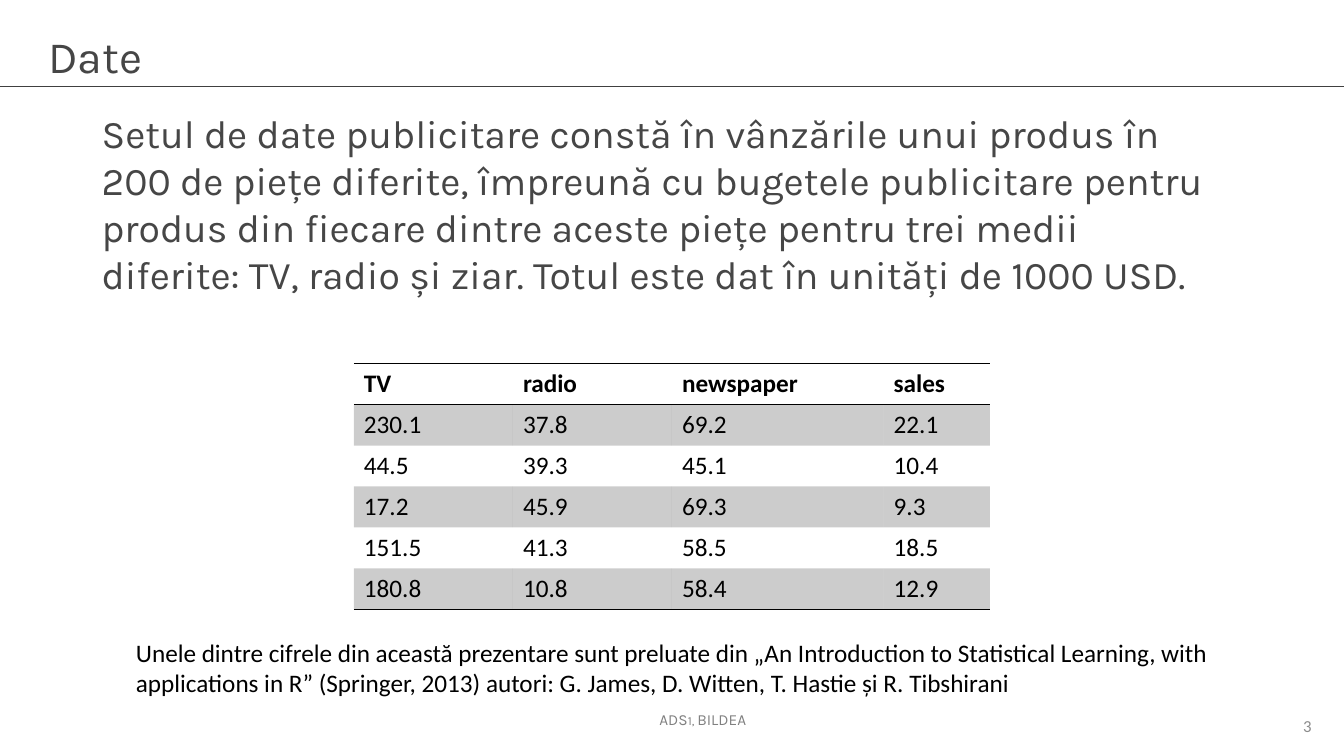
"""Build the slide describing the advertising data set."""
from dataclasses import dataclass

import lxml.etree
import pptx
import pptx.dml.color
import pptx.enum.shapes
import pptx.enum.text
import pptx.oxml
import pptx.oxml.ns
import pptx.slide
import pptx.table
import pptx.util

Pt = pptx.util.Pt
RGBColor = pptx.dml.color.RGBColor
ALIGN = pptx.enum.text.PP_ALIGN
ANCHOR = pptx.enum.text.MSO_ANCHOR
qn = pptx.oxml.ns.qn

BLACK = RGBColor(0x00, 0x00, 0x00)
RULE = RGBColor(0x40, 0x40, 0x40)
DARK = RGBColor(0x46, 0x46, 0x46)
GRAY = RGBColor(0x80, 0x80, 0x80)
LIGHT = RGBColor(0x8C, 0x8C, 0x8C)
NO_STYLE = "{2D5ABB26-0587-4C30-8999-92F81FD0307C}"


@dataclass
class Label:
    """A text box with one run; lengths in points."""
    text: str
    left: float
    top: float
    width: float
    height: float
    size: float
    font: str
    color: RGBColor
    align: ALIGN = ALIGN.LEFT
    anchor: ANCHOR = ANCHOR.TOP
    wrap: bool = True
    small_caps: bool = False


LABELS = [
    Label("ADS1, BILDEA", 463, 504, 78, 21, 11, "Karla", GRAY,
          align=ALIGN.CENTER, wrap=False, small_caps=True),
    Label("Date", 27.4, 17.3, 905, 60.5, 32, "Karla", DARK),
    Label("3", 843, 504, 101, 28.8, 12, "Calibri", LIGHT,
          align=ALIGN.RIGHT, anchor=ANCHOR.MIDDLE),
    Label("Setul de date publicitare constă în vânzările unui produs în 200 de piețe "
          "diferite, împreună cu bugetele publicitare pentru produs din fiecare dintre "
          "aceste piețe pentru trei medii diferite: TV, radio și ziar. Totul este dat în "
          "unități de 1000 USD.", 65.5, 74.2, 813, 166.3, 28, "Karla", DARK),
    Label("Unele dintre cifrele din această prezentare sunt preluate din „An Introduction "
          "to Statistical Learning, with applications in R” (Springer, 2013) autori: "
          "G. James, D. Witten, T. Hastie și R. Tibshirani",
          90, 451.4, 825, 51.1, 18, "Calibri", BLACK),
]

ROWS = [
    ("TV", "radio", "newspaper", "sales"),
    ("230.1", "37.8", "69.2", "22.1"),
    ("44.5", "39.3", "45.1", "10.4"),
    ("17.2", "45.9", "69.3", "9.3"),
    ("151.5", "41.3", "58.5", "18.5"),
    ("180.8", "10.8", "58.4", "12.9"),
]
COL_WIDTHS = [113.6, 113.6, 151.2, 76]
ROW_HEIGHT = 28.8


def add_run(p, text: str, size: float, font: str, color: RGBColor, bold: bool = False):
    """Append a formatted run to a paragraph."""
    r = p.add_run()
    r.text = text
    r.font.size = Pt(size)
    r.font.name = font
    r.font.color.rgb = color
    r.font.bold = bold
    return r


def add_label(s: pptx.slide.Slide, label: Label) -> None:
    """Draw one label as a text box."""
    sp = s.shapes.add_textbox(Pt(label.left), Pt(label.top), Pt(label.width), Pt(label.height))
    tf = sp.text_frame
    tf.word_wrap = label.wrap
    tf.vertical_anchor = label.anchor
    p = tf.paragraphs[0]
    p.alignment = label.align
    r = add_run(p, label.text, label.size, label.font, label.color)
    if label.small_caps:
        r.font._element.set("cap", "small")


def add_borders(cell: pptx.table._Cell, sides: list[str]) -> None:
    """Put black one-point borders on the given sides of a cell."""
    tcPr = cell._tc.get_or_add_tcPr()
    for i, side in enumerate(sides):
        ln = pptx.oxml.parse_xml(
            f'<a:{side} xmlns:a="http://schemas.openxmlformats.org/drawingml/2006/main" '
            f'w="{Pt(1)}"><a:solidFill><a:srgbClr val="{BLACK}"/></a:solidFill></a:{side}>')
        tcPr.insert(i, ln)


def add_data_table(s: pptx.slide.Slide) -> None:
    """Draw the data table with shaded odd rows and horizontal rules."""
    frame = s.shapes.add_table(len(ROWS), len(COL_WIDTHS), Pt(252.8), Pt(259.9),
                               Pt(sum(COL_WIDTHS)), Pt(ROW_HEIGHT * len(ROWS)))
    table = frame.table
    table.first_row = table.horz_banding = False
    table._tbl.tblPr.find(qn("a:tableStyleId")).text = NO_STYLE
    for col, width in zip(table.columns, COL_WIDTHS):
        col.width = Pt(width)
    for i, values in enumerate(ROWS):
        table.rows[i].height = Pt(ROW_HEIGHT)
        sides = ["lnT", "lnB"] if i == 0 else ["lnB"] if i == len(ROWS) - 1 else []
        for j, value in enumerate(values):
            cell = table.cell(i, j)
            add_run(cell.text_frame.paragraphs[0], value, 18, "Calibri", BLACK, bold=i == 0)
            if i % 2:
                cell.fill.solid()
                cell.fill.fore_color.rgb = BLACK
                clr = cell._tc.tcPr.find(".//" + qn("a:srgbClr"))
                lxml.etree.SubElement(clr, qn("a:alpha")).set("val", "20000")
            else:
                cell.fill.background()
            add_borders(cell, sides)


def add_title_rule(s: pptx.slide.Slide, width: float) -> None:
    """Draw the line under the title."""
    sp = s.shapes.add_connector(pptx.enum.shapes.MSO_CONNECTOR.STRAIGHT,
                                Pt(0), Pt(62), Pt(width), Pt(62))
    sp.line.color.rgb = RULE
    sp.line.width = Pt(0.75)
    lxml.etree.SubElement(sp._element.spPr, qn("a:effectLst"))


def main() -> None:
    """Create and save the presentation."""
    prs = pptx.Presentation()
    prs.slide_width, prs.slide_height = Pt(960), Pt(540)
    s = prs.slides.add_slide(prs.slide_layouts[6])
    add_title_rule(s, 960)
    add_data_table(s)
    for label in LABELS:
        add_label(s, label)
    prs.save("out.pptx")


if __name__ == "__main__":
    main()
